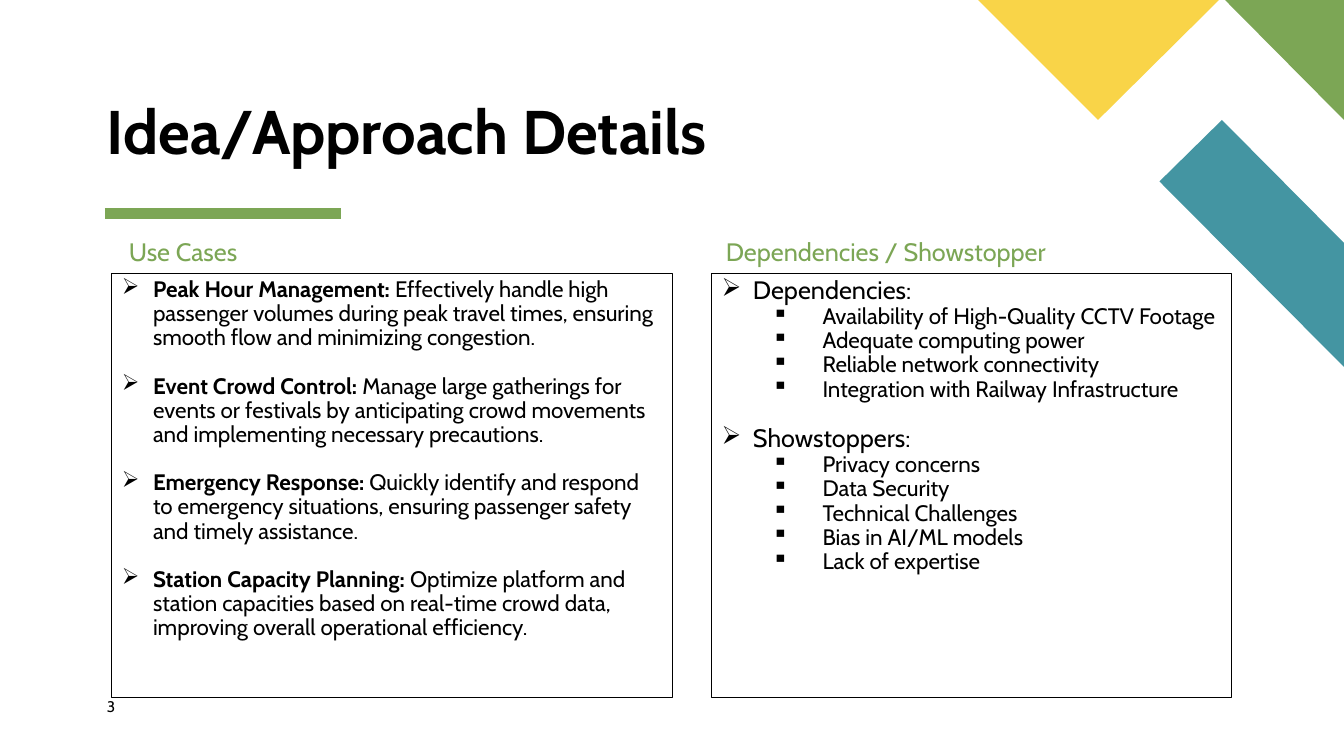
from lxml import etree
from pptx import Presentation
from pptx import util as u
from pptx.dml.color import RGBColor
from pptx.enum import shapes, text
from pptx.oxml import ns

PX = 9144
WIDE, HIGH = 1333, 750
FONT = "Cabin"
BLACK = RGBColor(0x00, 0x00, 0x00)
GREEN = RGBColor(0x7C, 0xA6, 0x55)
TEAL = RGBColor(0x44, 0x95, 0xA2)
GOLD = RGBColor(0xF9, 0xD4, 0x48)
GAP = 17.25
ARROW, SQUARE = "➢", "▪"

CASES = [
    ("Peak Hour Management: ",
     "Effectively handle high passenger volumes during peak travel times, "
     "ensuring smooth flow and minimizing congestion."),
    ("Event Crowd Control: ",
     "Manage large gatherings for events or festivals by anticipating crowd "
     "movements and implementing necessary precautions."),
    ("Emergency Response: ",
     "Quickly identify and respond to emergency situations, ensuring "
     "passenger safety and timely assistance."),
    ("Station Capacity Planning: ",
     "Optimize platform and station capacities based on real-time crowd data, "
     "improving overall operational efficiency."),
]
RISKS = [
    ("Dependencies:", [
        "Availability of High-Quality CCTV Footage",
        "Adequate computing power",
        "Reliable network connectivity",
        "Integration with Railway Infrastructure",
    ]),
    ("Showstoppers:", [
        "Privacy concerns",
        "Data Security",
        "Technical Challenges",
        "Bias in AI/ML models",
        "Lack of expertise",
    ]),
]


def px(*nums):
    return [u.Emu(n * PX) for n in nums]


def style(para, size, color=BLACK, bold=False):
    font = para.font
    font.name, font.size, font.bold = FONT, u.Pt(size), bold
    font.color.rgb = color
    para.alignment = text.PP_ALIGN.LEFT


def bullet(para, char, left, hang):
    props = para._p.get_or_add_pPr()
    props.set("marL", str(left * PX))
    props.set("indent", str(-hang * PX))
    etree.SubElement(props, ns.qn("a:buChar")).set("char", char)


def patch(slide, points, color):
    start, *rest = points
    build = slide.shapes.build_freeform(*start, scale=PX)
    build.add_line_segments(rest, close=True)
    shape = build.convert_to_shape()
    shape.shadow.inherit = False
    shape.fill.solid()
    shape.fill.fore_color.rgb = color
    shape.line.fill.background()


def rule(slide, x, y, end):
    line = slide.shapes.add_connector(
        shapes.MSO_CONNECTOR.STRAIGHT, *px(x, y, end, y))
    line.line.color.rgb = GREEN
    line.line.width = u.Pt(8)
    etree.SubElement(line._element.spPr, ns.qn("a:effectLst"))


def title(slide, words, box):
    head = slide.shapes.title
    head.left, head.top, head.width, head.height = px(*box)
    frame = head.text_frame
    frame.text = words
    frame.auto_size = text.MSO_AUTO_SIZE.NONE
    frame.vertical_anchor = text.MSO_ANCHOR.BOTTOM
    frame.margin_left = frame.margin_right = 0
    frame.margin_top = frame.margin_bottom = 0
    para = frame.paragraphs[0]
    para.line_spacing = 0.9
    style(para, 44, bold=True)


def label(slide, words, box, size, color, inset=(10, 5), space=0.9):
    frame = slide.shapes.add_textbox(*px(*box)).text_frame
    frame.word_wrap = True
    frame.margin_left = frame.margin_right = px(inset[0])[0]
    frame.margin_top = frame.margin_bottom = px(inset[1])[0]
    para = frame.paragraphs[0]
    para.text = words
    para.line_spacing = space
    style(para, size, color)


def panel(slide, box):
    shape = slide.shapes.add_shape(shapes.MSO_SHAPE.RECTANGLE, *px(*box))
    shape.shadow.inherit = False
    shape.fill.background()
    shape.line.color.rgb = BLACK
    shape.line.width = u.Pt(0.75)
    frame = shape.text_frame
    frame.word_wrap = True
    frame.vertical_anchor = text.MSO_ANCHOR.TOP
    return frame


def item(frame, runs, char, size, left=31, hang=31, level=0, gap=0):
    first = frame.paragraphs[0]
    para = frame.add_paragraph() if first.runs else first
    para.level = level
    para.line_spacing = 0.9
    para.space_before = u.Pt(gap)
    bullet(para, char, left, hang)
    style(para, size)
    for words, bold in runs:
        run = para.add_run()
        run.text = words
        if bold:
            run.font.bold = True


def main():
    deck = Presentation()
    deck.slide_width, deck.slide_height = px(WIDE, HIGH)
    slide = deck.slides.add_slide(deck.slide_layouts[5])

    rule(slide, 104, 212, 338)
    patch(slide, [(WIDE, 364), (WIDE, 241), (1212, 119), (1150, 180)], TEAL)
    patch(slide, [(WIDE, 119), (WIDE, 0), (1215, 0)], GREEN)
    patch(slide, [(970, 0), (1089, 119), (1209, 0)], GOLD)
    title(slide, "Idea/Approach Details", (106, 99, 632, 67))

    label(slide, "Use Cases", (118, 233, 529, 35), 18, GREEN)
    cases = panel(slide, (111, 271, 556, 421))
    for i, (name, note) in enumerate(CASES):
        item(cases, [(name, True), (note, False)], ARROW, 16,
             gap=GAP if i else 0)

    label(slide, "Dependencies / Showstopper", (710, 233, 562, 35), 18, GREEN)
    risks = panel(slide, (706, 271, 516, 421))
    for i, (name, points) in enumerate(RISKS):
        item(risks, [(name, False)], ARROW, 18, gap=GAP if i else 0)
        for point in points:
            item(risks, [(point, False)], SQUARE, 16, 100, 50, level=1)

    label(slide, "3", (106, 692, 57, 27), 11, BLACK, (0, 0), 1.0)
    deck.save("out.pptx")


if __name__ == "__main__":
    main()
